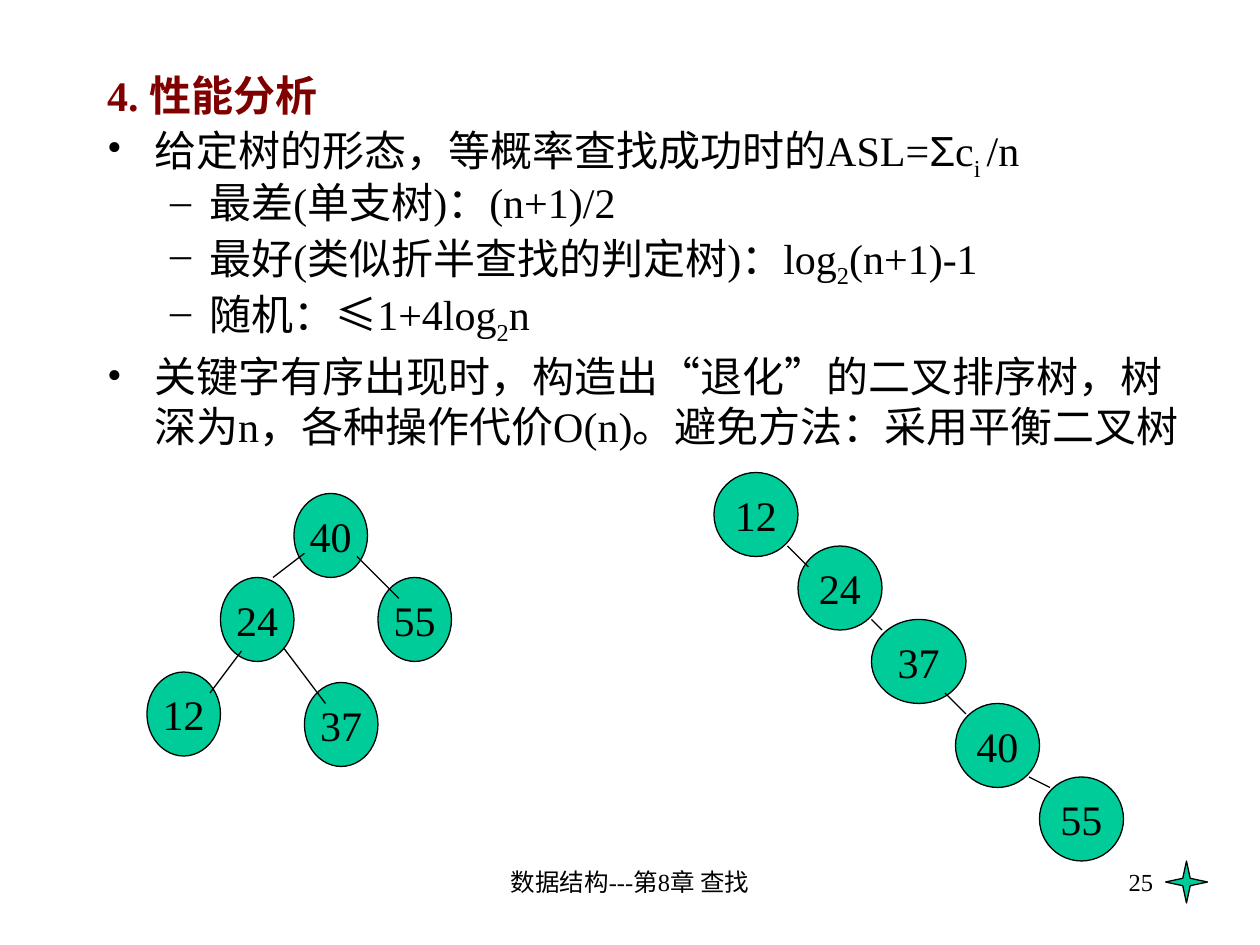
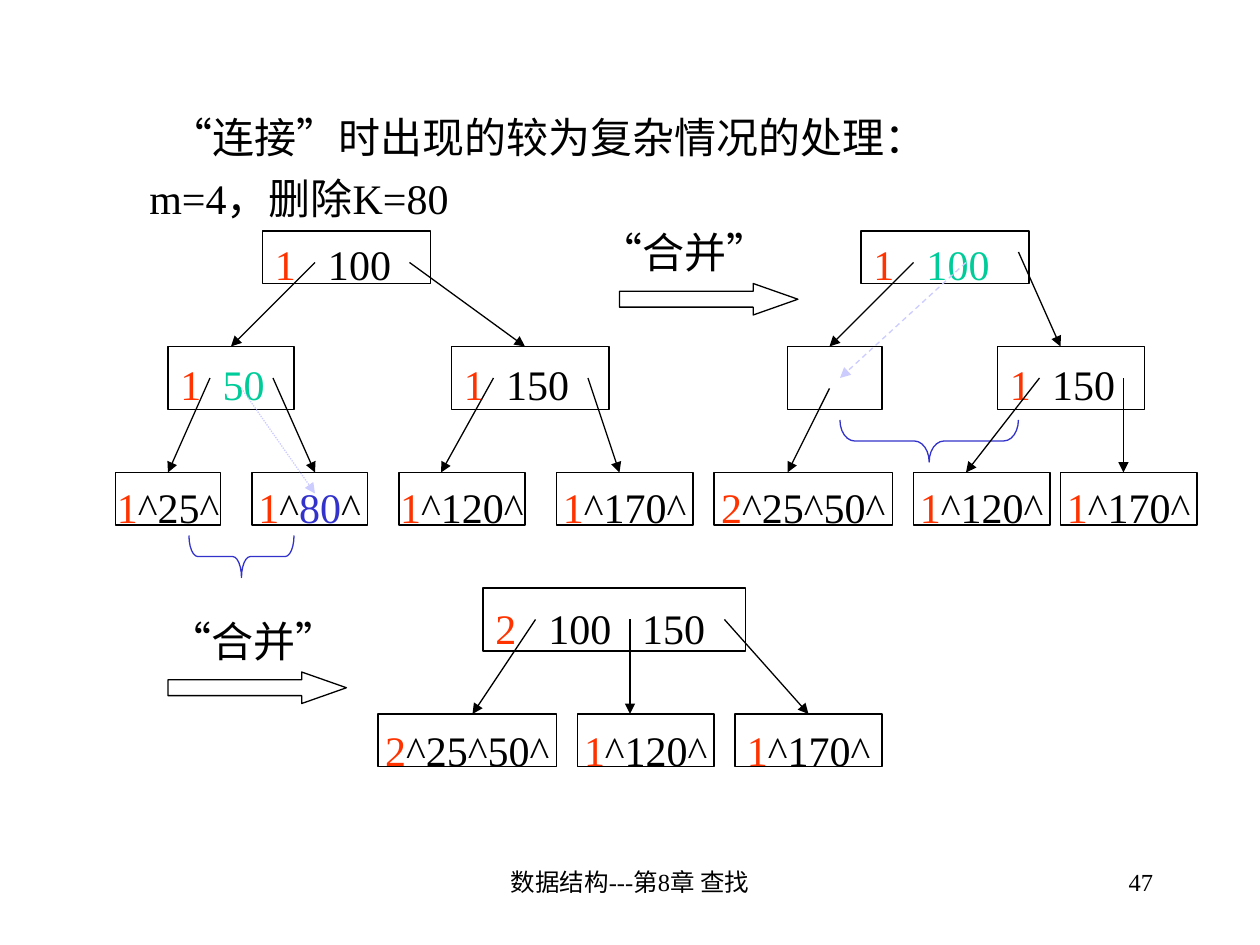
"""Build two data structure slides: search tree performance and B-tree node merging."""
import lxml.etree
import pptx
import pptx.dml.color
import pptx.enum.dml
import pptx.enum.shapes
import pptx.enum.text
import pptx.oxml
import pptx.oxml.ns
import pptx.util
from pptx.util import Cm

COLOURS = {
    "text": "000000",
    "heading": "800000",
    "green": "00CC99",
    "red": "FF3300",
    "blue": "3333CC",
    "pale": "CCCCFF",
}
FONT = "Times New Roman"
SHAPES = pptx.enum.shapes.MSO_SHAPE
ALIGN = pptx.enum.text.PP_ALIGN
ANCHOR = pptx.enum.text.MSO_ANCHOR
DASHES = pptx.enum.dml.MSO_LINE
qn = pptx.oxml.ns.qn


def grid(*units):
    """Convert steps of a twelfth of an inch to lengths."""
    return [Cm(unit * 2.54 / 12) for unit in units]


def write(paragraph, *runs, size=24):
    """Add runs given as (text, colour, optional style)."""
    for text, colour, *style in runs:
        run = paragraph.add_run()
        run.text = text
        run.font.size = pptx.util.Pt(size)
        run.font.name = "Arial" if "arial" in style else FONT
        run.font.bold = "bold" in style
        run.font.color.rgb = pptx.dml.color.RGBColor.from_string(COLOURS[colour])
        if "sub" in style:
            run._r.get_or_add_rPr().set("baseline", "-25000")


presentation = pptx.Presentation()
presentation.slide_width, presentation.slide_height = Cm(25.4), Cm(19.05)

# (bullet, left margin, first-line indent, line spacing, runs)
analysis = [
    (None, 0.95, -0.95, 1, [("4. 性能分析", "heading", "bold")]),
    ("•", 0.95, -0.95, 0.8, [
        ("给定树的形态，等概率查找成功时的ASL=", "text"), ("Σ", "text", "arial"),
        ("c", "text"), ("i ", "text", "sub"), ("/n", "text")]),
    ("–", 2.06, -0.79, 0.8, [("最差(单支树)：(n+1)/2", "text")]),
    ("–", 2.06, -0.79, 0.8, [
        ("最好(类似折半查找的判定树)：log", "text"), ("2", "text", "sub"), ("(n+1)-1", "text")]),
    ("–", 2.06, -0.79, 0.8, [
        ("随机：", "text"), ("≤", "text", "arial"), ("1+4log", "text"),
        ("2", "text", "sub"), ("n", "text")]),
    ("•", 0.95, -0.95, 1, [
        ("关键字有序出现时，构造出“退化”的二叉排序树，树深为n，"
         "各种操作代价O(n)。避免方法：采用平衡二叉树", "text")]),
]
merging = [
    (None, 1.27, 0, 1, [("“连接”时出现的较为复杂情况的处理：", "text")]),
    (None, 0.85, 0, 1, [("m=4，删除K=80", "text")]),
]

slides = []
for number, body_box, lines in [
    ("25", (9, 6, 105, 71), analysis),
    ("47", (9, 10, 106, 70), merging),
]:
    slide = presentation.slides.add_slide(presentation.slide_layouts[1])
    slides.append(slide)
    title = slide.shapes.title
    title.element.getparent().remove(title.element)

    for box, text, alignment in [
        ((41, 82, 38, 6), "数据结构---第8章 查找", ALIGN.CENTER),
        ((86, 82, 25, 6), number, ALIGN.RIGHT),
    ]:
        footer = slide.shapes.add_textbox(*grid(*box))
        footer.text_frame.word_wrap = True
        paragraph = footer.text_frame.paragraphs[0]
        paragraph.alignment = alignment
        write(paragraph, (text, "text"), size=14)

    body = slide.placeholders[1]
    body.left, body.top, body.width, body.height = grid(*body_box)
    frame = body.text_frame
    frame.auto_size = pptx.enum.text.MSO_AUTO_SIZE.NONE
    frame.vertical_anchor = ANCHOR.TOP
    for index, (bullet, margin, indent, spacing, runs) in enumerate(lines):
        paragraph = frame.add_paragraph() if index else frame.paragraphs[0]
        paragraph.level = 1 if bullet == "–" else 0
        properties = paragraph._p.get_or_add_pPr()
        properties.set("marL", str(Cm(margin)))
        properties.set("indent", str(Cm(indent)))
        if bullet:
            colour = lxml.etree.SubElement(properties, qn("a:buClr"))
            lxml.etree.SubElement(colour, qn("a:srgbClr"), val=COLOURS["text"])
            lxml.etree.SubElement(properties, qn("a:buFont"), typeface=FONT)
            lxml.etree.SubElement(properties, qn("a:buChar"), char=bullet)
        else:
            lxml.etree.SubElement(properties, qn("a:buNone"))
        paragraph.line_spacing = float(spacing)
        paragraph.space_before = pptx.util.Pt(6 if index else 0)
        write(paragraph, *runs)

tree_slide, merge_slide = slides
outlined = []

star = tree_slide.shapes.add_shape(SHAPES.STAR_4_POINT, *grid(111, 82, 4, 4))
star.adjustments[0] = 0.125
outlined.append((star, "green", "text"))

for key, left, top, width in [
    ("40", 28, 47, 7), ("24", 21, 55, 7), ("55", 36, 55, 7), ("12", 14, 64, 7), ("37", 29, 65, 7),
    ("12", 68, 45, 8), ("24", 76, 52, 8), ("37", 83, 59, 9), ("40", 91, 67, 8), ("55", 99, 74, 8),
]:
    node = tree_slide.shapes.add_shape(SHAPES.OVAL, *grid(left, top, width, 8))
    node.text_frame.word_wrap = False
    node.text_frame.vertical_anchor = ANCHOR.MIDDLE
    paragraph = node.text_frame.paragraphs[0]
    paragraph.alignment = ALIGN.CENTER
    write(paragraph, (key, "text"))
    outlined.append((node, "green", "text"))

# (top, height, text inset in cm, nodes as (left, width, tab stops in cm, runs))
inner_rows = [
    (22, 5, 0.15, [
        (25, 16, [1.07], [("1", "red"), ("\t100", "text")]),
        (82, 16, [1.07], [("1", "red"), ("\t100", "green")])]),
    (33, 6, 0.25, [
        (16, 12, [0.85], [("1", "red"), ("\t50", "green")]),
        (43, 15, [0.85], [("1", "red"), ("\t150", "text")]),
        (75, 9, [], []),
        (95, 14, [0.85], [("1", "red"), ("\t150", "text")])]),
    (56, 6, 0.3, [
        (46, 25, [1.07, 2.96], [("2", "red"), ("\t100\t150", "text")])]),
]
leaf_25_50 = [("2", "red"), ("^25^50^", "text")]
leaf_120 = [("1", "red"), ("^120^", "text")]
leaf_170 = [("1", "red"), ("^170^", "text")]
leaf_rows = [
    (45, 5, 0.18, [
        (11, 10, [], [("1", "red"), ("^25^", "text")]),
        (24, 11, [], [("1", "red"), ("^", "text"), ("80", "blue"), ("^", "text")]),
        (38, 12, [], leaf_120), (53, 13, [], leaf_170),
        (68, 17, [], leaf_25_50), (87, 13, [], leaf_120), (101, 13, [], leaf_170)]),
    (68, 5, 0.22, [
        (36, 17, [], leaf_25_50), (55, 13, [], leaf_120), (70, 14, [], leaf_170)]),
]
for top, height, inset, nodes in inner_rows + leaf_rows:
    for left, width, stops, runs in nodes:
        node = merge_slide.shapes.add_shape(SHAPES.RECTANGLE, *grid(left, top, width, height))
        outlined.append((node, None, "text"))
        if not runs:
            continue
        frame = node.text_frame
        frame.word_wrap = bool(stops)
        frame.vertical_anchor = ANCHOR.TOP
        frame.margin_top, frame.margin_bottom = Cm(inset), 0
        frame.margin_left = Cm(0.25) if stops else 0
        frame.margin_right = 0
        paragraph = frame.paragraphs[0]
        paragraph.alignment = ALIGN.LEFT if stops else ALIGN.CENTER
        if stops:
            tabs = lxml.etree.SubElement(paragraph._p.get_or_add_pPr(), qn("a:tabLst"))
            for stop in stops:
                lxml.etree.SubElement(tabs, qn("a:tab"), pos=str(Cm(stop)), algn="l")
        write(paragraph, *runs)

for arrow_box, label_box in [
    ((59, 27, 17, 3), (56, 21, 25, 6)),
    ((16, 64, 17, 3), (15, 58, 21, 6)),
]:
    arrow = merge_slide.shapes.add_shape(SHAPES.RIGHT_ARROW, *grid(*arrow_box))
    arrow.adjustments[0], arrow.adjustments[1] = 0.5, 1.42
    outlined.append((arrow, None, "text"))
    label = merge_slide.shapes.add_textbox(*grid(*label_box))
    label.text_frame.word_wrap = True
    write(label.text_frame.paragraphs[0], ("“合并”", "text"))

for box, curve in [((21, 48, 4, 10), 0.21), ((86.5, 33.5, 4, 17), 0.35)]:
    brace = merge_slide.shapes.add_shape(SHAPES.LEFT_BRACE, *grid(*box))
    brace.rotation = 270
    brace.adjustments[0] = curve
    outlined.append((brace, None, "blue"))

for shape, fill, line in outlined:
    shape.shadow.inherit = False
    if fill:
        shape.fill.solid()
        shape.fill.fore_color.rgb = pptx.dml.color.RGBColor.from_string(COLOURS[fill])
    else:
        shape.fill.background()
    shape.line.color.rgb = pptx.dml.color.RGBColor.from_string(COLOURS[line])
    shape.line.width = pptx.util.Pt(0.75)

tree_edges = [
    (29, 52.7, 26, 55), (23, 62, 20, 66), (27, 61.7, 31, 67), (34, 53, 38, 57),
    (75, 52, 77, 54), (83, 59, 84, 60), (90, 66, 92, 68), (98, 74, 100, 75),
]
pointers = [
    (30, 25, 22, 33), (39, 25, 50, 33), (20, 36, 16, 45), (26, 36, 30, 45),
    (47, 36, 42, 45), (56, 36, 59, 45), (97, 24, 101, 33), (99, 36, 92, 45),
    (107, 36, 107, 45), (87, 25, 79, 33), (79, 37, 75, 45),
    (51, 59, 45, 68), (60, 59, 60, 68), (69, 59, 77, 68),
]
for slide, edges, colour, dash, arrowhead in [
    (tree_slide, tree_edges, "text", None, False),
    (merge_slide, pointers, "text", None, True),
    (merge_slide, [(23, 37, 30, 47)], "pale", DASHES.ROUND_DOT, True),
    (merge_slide, [(92, 25, 80, 36)], "pale", DASHES.DASH, True),
]:
    for edge in edges:
        connector = slide.shapes.add_connector(
            pptx.enum.shapes.MSO_CONNECTOR.STRAIGHT, *grid(*edge))
        connector.line.color.rgb = pptx.dml.color.RGBColor.from_string(COLOURS[colour])
        connector.line.width = pptx.util.Pt(0.75)
        if dash:
            connector.line.dash_style = dash
        if arrowhead:
            outline = connector.line._get_or_add_ln()
            lxml.etree.SubElement(outline, qn("a:tailEnd"), type="triangle")
        lxml.etree.SubElement(connector._element.spPr, qn("a:effectLst"))

presentation.save("out.pptx")
